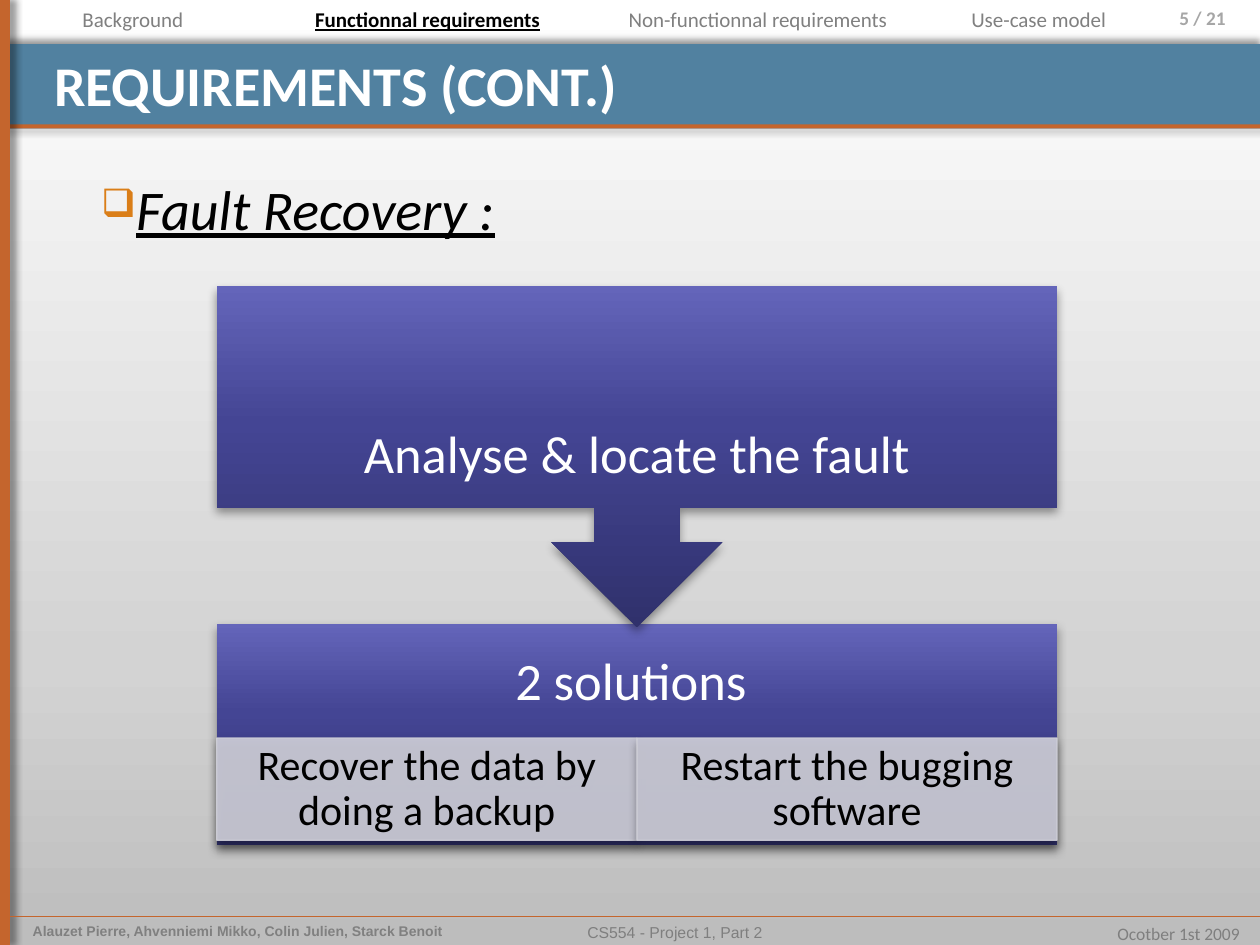
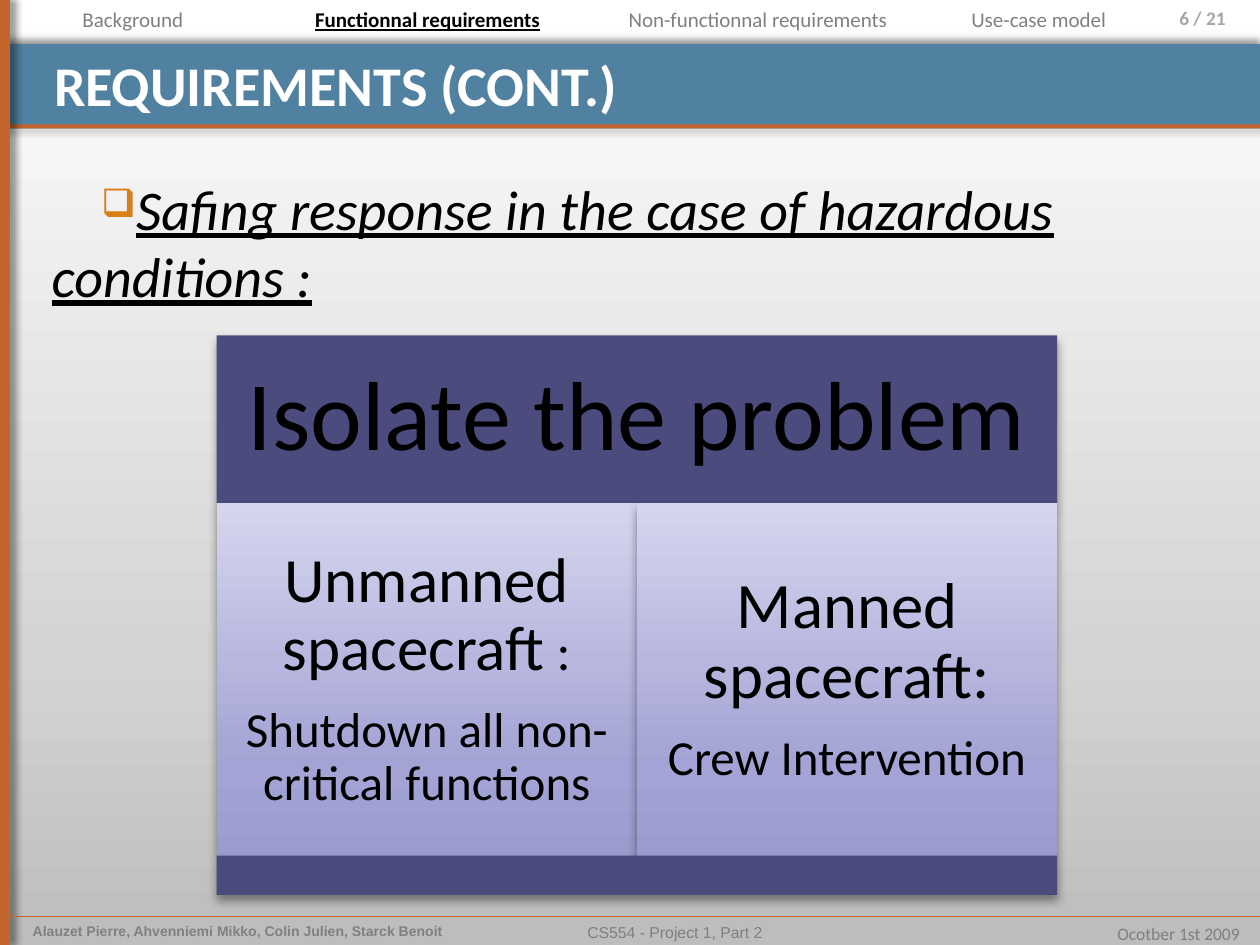
from lxml import etree
from pptx import Presentation
from pptx.dml.color import RGBColor
from pptx.enum.shapes import MSO_CONNECTOR, MSO_SHAPE
from pptx.enum.text import MSO_ANCHOR, PP_ALIGN
from pptx.oxml.ns import qn
from pptx.util import Cm, Pt

RECT = MSO_SHAPE.RECTANGLE
CALLOUT = MSO_SHAPE.DOWN_ARROW_CALLOUT
STRAIGHT = MSO_CONNECTOR.STRAIGHT
LEFT, CENTER, RIGHT = PP_ALIGN.LEFT, PP_ALIGN.CENTER, PP_ALIGN.RIGHT
TOP, MIDDLE = MSO_ANCHOR.TOP, MSO_ANCHOR.MIDDLE

BLACK = RGBColor(0x00, 0x00, 0x00)
WHITE = RGBColor(0xFF, 0xFF, 0xFF)
GRAY = RGBColor(0x80, 0x80, 0x80)
DIM = RGBColor(0x7F, 0x7F, 0x7F)
PALE = RGBColor(0xA6, 0xA6, 0xA6)
BLUE = RGBColor(0x51, 0x81, 0xA0)
RUST = RGBColor(0xC4, 0x65, 0x2D)
AMBER = RGBColor(0xDA, 0x7E, 0x18)
MIST = RGBColor(0xD1, 0xD1, 0xDA)
NAVY = RGBColor(0x4B, 0x4C, 0x7D)

BACK = [(0, RGBColor(0xBD, 0xBD, 0xBD)), (30, RGBColor(0xD3, 0xD3, 0xD3)), (100, WHITE)]
INDIGO = [(0, RGBColor(0x30, 0x31, 0x6C)), (60, RGBColor(0x44, 0x45, 0x94)),
          (100, RGBColor(0x64, 0x65, 0xBA))]
LILAC = [(0, RGBColor(0x9B, 0x9C, 0xCE)), (25, RGBColor(0xA3, 0xA3, 0xD5)),
         (100, RGBColor(0xD5, 0xD5, 0xEE))]

WIDE, HIGH = 25.4, 19.05
EDGE = 0.2
FOOT = 18.47
BOX_X, BOX_W = 4.37, 16.94
HALF = BOX_W / 2
BOX_PAD = (0.58, 0.58)
TEXT_PAD = (0.25, 0.13)
DROP = (5.2, 3, 90)
TABS = [("Background", 0, 5.36), ("Functionnal requirements", 5.94, 5.36),
        ("Non-functionnal requirements", 11.71, 7.14), ("Use-case model", 18.26, 5.36)]
ACTIVE = "Functionnal requirements"


def add(parent, tag, **attrs):
    """Append a DrawingML child with the given attributes."""
    node = etree.SubElement(parent, qn("a:" + tag))
    for key, value in attrs.items():
        node.set(key, str(value))
    return node


def blend(fill, owner, stops):
    """Fill with a gradient whose first stop lies at the bottom."""
    fill.gradient()
    fill.gradient_angle = 90
    group = next(owner.element.iter(qn("a:gsLst")))
    for node in list(group):
        group.remove(node)
    for spot, color in stops:
        add(add(group, "gs", pos=spot * 1000), "srgbClr", val=color)


def shade(shape, blur, gap, angle):
    """Give a shape or line a soft black shadow."""
    effects = add(shape.element.spPr, "effectLst")
    outer = add(effects, "outerShdw", blurRad=Pt(blur), dist=Pt(gap),
                dir=angle * 60000, algn="ctr", rotWithShape=0)
    add(add(outer, "srgbClr", val=BLACK), "alpha", val=40000)


def block(slide, box, fill, shadow=DROP, kind=RECT, glass=False):
    """Add a shadowed shape with a plain, gradient or glassy fill."""
    shape = slide.shapes.add_shape(kind, *map(Cm, box))
    if isinstance(fill, list):
        blend(shape.fill, shape, fill)
    else:
        shape.fill.solid()
        shape.fill.fore_color.rgb = fill
    if glass:
        shape.line.color.rgb = fill
        shape.line.width = Pt(0.75)
        for color in shape.element.spPr.iter(qn("a:srgbClr")):
            add(color, "alpha", val=90000)
    else:
        shape.line.fill.background()
    shade(shape, *shadow)
    return shape


def style(font, size, color, name="Calibri", bold=False, italic=False, under=False):
    """Set every font trait that the slides use."""
    font.name, font.size, font.color.rgb = name, Pt(size), color
    font.bold, font.italic, font.underline = bold, italic, under


def frame(shape, pad=TEXT_PAD, anchor=TOP, wrap=True):
    """Prepare the text frame of a shape."""
    body = shape.text_frame
    body.word_wrap = wrap
    body.vertical_anchor = anchor
    body.margin_left = body.margin_right = Cm(pad[0])
    body.margin_top = body.margin_bottom = Cm(pad[1])
    return body


def label(slide, box, text, size, color, align=LEFT, wrap=True, **traits):
    """Add a one-paragraph text box and return its frame."""
    body = frame(slide.shapes.add_textbox(*map(Cm, box)), wrap=wrap)
    line = body.paragraphs[0]
    line.text = text
    line.alignment = align
    style(line.font, size, color, **traits)
    return body


def write(shape, lines, pad=BOX_PAD, color=BLACK):
    """Centre paragraphs, each a list of (text, size) runs, in a shape."""
    body = frame(shape, pad, MIDDLE)
    for index, runs in enumerate(lines):
        line = body.add_paragraph() if index else body.paragraphs[0]
        line.alignment = CENTER
        line.line_spacing = 0.9
        if index < len(lines) - 1:
            line.space_after = Pt(12)
        style(line.font, runs[0][1], color)
        for text, size in runs:
            run = line.add_run()
            run.text = text
            if len(runs) > 1:
                run.font.size = Pt(size)


def caption(slide, box, text):
    """Add large white text over a diagram block."""
    write(slide.shapes.add_textbox(*map(Cm, box)), [[(text, 30)]], color=WHITE)


def pair(slide, top, high, cells, fill, pad, glass=False):
    """Add two panels side by side."""
    for index, lines in enumerate(cells):
        box = (BOX_X + index * HALF, top, HALF, high)
        write(block(slide, box, fill, glass=glass), lines, pad)


def bands(slide):
    """Add the title band, its rule, the side bar and the footer line."""
    block(slide, (0, 0.89, WIDE, 1.7), BLUE, (4, 3, 270))
    block(slide, (0, 2.51, WIDE, 0.08), RUST, (4, 3, 45))
    block(slide, (0, 0, EDGE, HIGH), RUST, (4, 3, 0))
    rule = slide.shapes.add_connector(STRAIGHT, *map(Cm, (EDGE, FOOT, WIDE, FOOT)))
    rule.line.color.rgb = RUST
    rule.line.width = Pt(0.25)
    shade(rule, 4, 3, 45)


def footer(slide):
    """Add the authors, course and date."""
    label(slide, (0.41, FOOT, 9.32, 0.58),
          "Alauzet Pierre, Ahvenniemi Mikko, Colin Julien, Starck Benoit",
          8, GRAY, name="Arial", bold=True)
    label(slide, (5.77, FOOT, 15.67, 0.58), "CS554 - Project 1, Part 2",
          9, DIM, CENTER, name="Arial")
    label(slide, (22.12, FOOT, 3.12, 0.69), "Ocotber 1st 2009", 10, DIM, RIGHT, wrap=False)


def header(slide, page):
    """Add the section tabs and the page count."""
    for text, left, wide in TABS:
        live = text == ACTIVE
        label(slide, (left, 0, wide, 0.76), text, 12, BLACK if live else GRAY,
              CENTER, bold=live, under=live)
    count = label(slide, (22.43, 0, 2.97, 0.99), f"{page} / 21", 11, PALE, RIGHT, bold=True)
    count.margin_right = Cm(0.69)


def topic(slide, text):
    """Add the bulleted heading above a diagram."""
    body = label(slide, (0.79, 3.38, 24, 14.88), text, 32, BLACK, italic=True, under=True)
    props = body.paragraphs[0]._p.get_or_add_pPr()
    props.set("marL", "0")
    props.set("indent", str(Cm(1)))
    add(add(props, "buClr"), "srgbClr", val=AMBER)
    add(props, "buSzPct", val=70000)
    add(props, "buChar", char="❑")


def base(deck, page, text):
    """Start a slide with all shared parts and its heading."""
    slide = deck.slides.add_slide(deck.slide_layouts[6])
    blend(slide.background.fill, slide, BACK)
    bands(slide)
    footer(slide)
    header(slide, page)
    label(slide, (0.84, 0.89, 23.57, 1.47), "REQUIREMENTS (CONT.)", 32, WHITE, bold=True)
    topic(slide, text)
    return slide


def fault(deck):
    """Build the fault recovery slide."""
    slide = base(deck, 5, "Fault Recovery :")
    block(slide, (BOX_X, 12.57, BOX_W, 4.47), INDIGO)
    caption(slide, (BOX_X, 12.57, BOX_W, 2.41), "2 solutions ")
    cells = [[[("Recover the data by doing a backup", 24)]],
             [[("Restart the bugging software", 24)]]]
    pair(slide, 14.88, 2.06, cells, MIST, (0.48, 0.08), glass=True)
    step = (BOX_X, 5.77, BOX_W, 6.88)
    block(slide, step, INDIGO, kind=CALLOUT)
    caption(slide, step, "Analyse & locate the fault")


def safing(deck):
    """Build the safing response slide."""
    slide = base(deck, 6, "Safing response in the case of hazardous conditions :")
    head = block(slide, (BOX_X, 6.76, BOX_W, 3.38), NAVY)
    write(head, [[("Isolate the problem", 56)]])
    cells = [[[("Unmanned", 36), (" ", 30), ("spacecraft", 36), (" :", 30)],
              [("Shutdown all non-critical functions", 28)]],
             [[("Manned spacecraft:", 37)], [("Crew Intervention", 28)]]]
    pair(slide, 10.14, 7.11, cells, LILAC, (0.38, 0.38))
    block(slide, (BOX_X, 17.25, BOX_W, 0.79), NAVY)


def main():
    """Build and save the deck."""
    deck = Presentation()
    deck.slide_width, deck.slide_height = Cm(WIDE), Cm(HIGH)
    fault(deck)
    safing(deck)
    deck.save("out.pptx")


if __name__ == "__main__":
    main()
